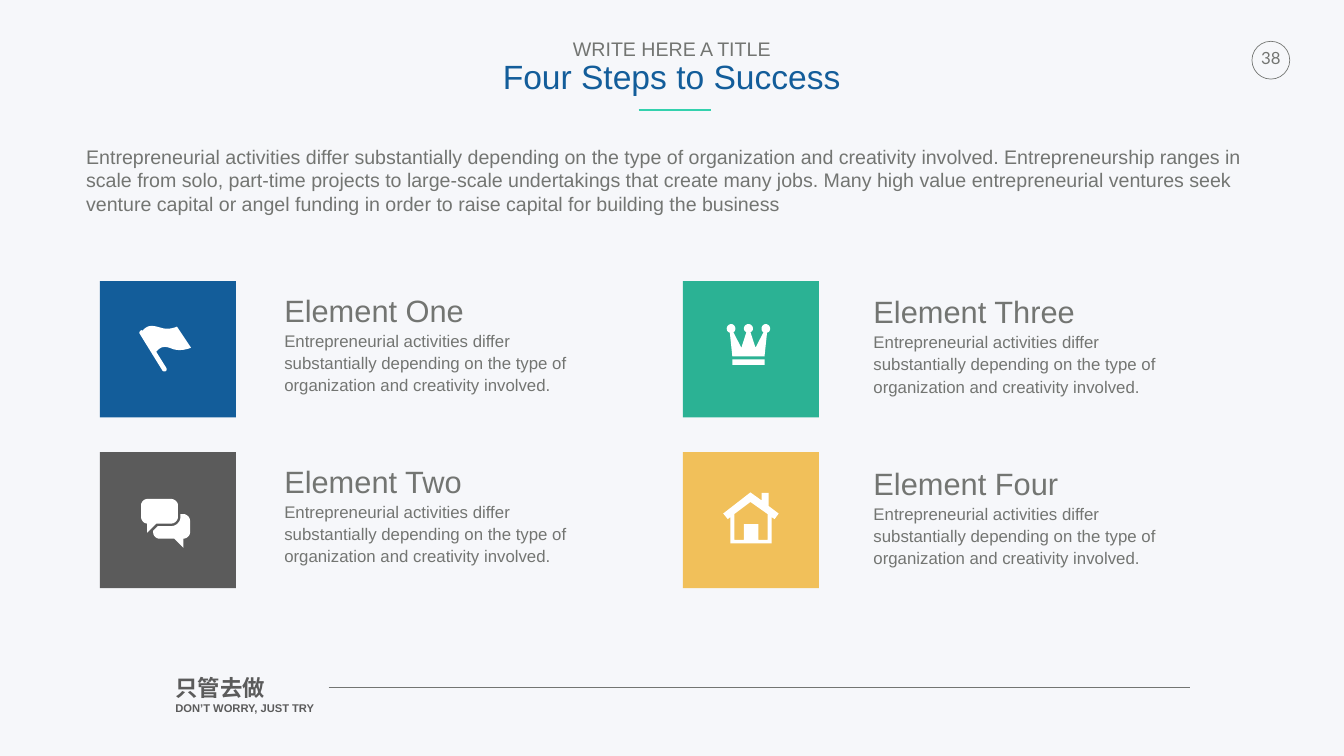
from dataclasses import dataclass

from lxml import etree
from pptx import Presentation
from pptx.dml.color import RGBColor
from pptx.enum import shapes, text
from pptx.oxml import ns
from pptx.util import Pt

GRAY, DARK, BLUE = "737572", "5B5B5B", "135D9A"
GREEN, YELLOW, WHITE = "2BB294", "F1C05A", "FFFFFF"
INTRO = (
    "Entrepreneurial activities differ substantially depending on the type of "
    "organization and creativity involved. Entrepreneurship ranges in scale from solo, "
    "part-time projects to large-scale undertakings that create many jobs. Many high "
    "value entrepreneurial ventures seek venture capital or angel funding in order to "
    "raise capital for building the business"
)
DETAIL = INTRO.split(". ")[0] + "."
TILE = 194.4
Points = list[tuple[float, ...]]


@dataclass
class Line:
    text: str
    size: float
    color: str = GRAY
    bold: bool = False
    font: str = "Arial"


@dataclass
class Step:
    """One tile with its icon; each icon part is a list of closed contours."""
    title: str
    color: str
    column: int
    row: int
    icon: list[list[Points]]


def trace(path: Points) -> Points:
    """Flatten a path: pairs are corners, six numbers are a cubic curve."""
    pts: Points = []
    for item in path:
        if len(item) == 2:
            pts.append(item)
            continue
        x0, y0 = pts[-1]
        x1, y1, x2, y2, x3, y3 = item
        for i in range(1, 9):
            t = i / 8
            a, b, c, d = (1 - t) ** 3, 3 * t * (1 - t) ** 2, 3 * t * t * (1 - t), t ** 3
            pts.append((a * x0 + b * x1 + c * x2 + d * x3,
                        a * y0 + b * y1 + c * y2 + d * y3))
    return pts


def mirror(half: Points) -> Points:
    """Complete an outline that is symmetric about its first point's x."""
    pts = trace(half)
    return pts + [(2 * pts[0][0] - x, y) for x, y in reversed(pts)]


FLAG = [(110.2, 64.8), (110.2, 64.8, 98.6, 70.6, 86.4, 66.2),
        (73.4, 61.9, 67, 63.4, 61.2, 70.6), (59.8, 69.8, 59, 69.8, 58.3, 70.6),
        (56.9, 71.3, 56.2, 73.4, 56.9, 74.9), (89.3, 127.4),
        (90, 128.2, 90.7, 128.9, 92.2, 128.9), (92.9, 128.9, 93.6, 128.9, 94.3, 128.2),
        (95.8, 127.4, 95.8, 125.3, 95, 123.8), (80.6, 100.8),
        (86.4, 93.6, 92.2, 91.4, 105.1, 97.2), (117.4, 100.8, 130.3, 95, 130.3, 95)]
CROWN_BASE = mirror([(93.6, 111.6), (116.6, 111.6), (116.6, 119.5), (93.6, 119.5)])
CROWN = mirror([(93.6, 107.3), (116.6, 107.3), (120.2, 73.4),
                (123.1, 72.7, 124.6, 70.6, 124.6, 67.7),
                (124.6, 64.1, 121.7, 61.2, 118.1, 61.2),
                (115.2, 61.2, 112.3, 64.1, 112.3, 67.7),
                (112.3, 69.8, 113, 72, 115.2, 72.7), (103.7, 95), (96.5, 72.7),
                (98.6, 72, 100.1, 69.8, 100.1, 67.7),
                (100.1, 64.1, 97.2, 61.2, 93.6, 61.2)])
BACK_BUBBLE = [(119.5, 88.6), (115.2, 88.6), (115.2, 92.9),
               (115.2, 100.1, 108.7, 105.8, 102.2, 105.8), (82.8, 105.8), (76.3, 112.3),
               (76.3, 115.2), (76.3, 119.5, 80.6, 123.8, 85, 123.8), (106.6, 123.8),
               (119.5, 136.8), (119.5, 123.8), (123.8, 123.8, 128.9, 119.5, 128.9, 115.2),
               (128.9, 97.9), (128.9, 92.9, 123.8, 88.6, 119.5, 88.6)]
FRONT_BUBBLE = [(80.6, 102.2), (102.2, 102.2), (106.6, 102.2, 111.6, 97.9, 111.6, 92.9),
                (111.6, 75.6), (111.6, 71.3, 106.6, 67, 102.2, 67), (67.7, 67),
                (63.4, 67, 59, 71.3, 59, 75.6), (59, 92.9),
                (59, 97.9, 63.4, 102.2, 67.7, 102.2), (67.7, 115.2)]
HOUSE = [(122.4, 77), (122.4, 58.3), (112.3, 58.3), (112.3, 69.1), (96.5, 57.6),
         (57.6, 87.8), (64.1, 95.8), (67.7, 92.9), (67.7, 130.3), (126.7, 130.3),
         (126.7, 92.9), (131, 95.8), (136.8, 87.8)]
HOUSE_INSIDE = [(121, 125.3), (108, 125.3), (108, 103), (87.1, 103), (87.1, 125.3),
                (73.4, 125.3), (73.4, 88.6), (96.5, 71.3), (121, 88.6)]

STEPS = [
    Step("Element One", BLUE, 0, 0, [[FLAG]]),
    Step("Element Two", DARK, 0, 1, [[BACK_BUBBLE], [FRONT_BUBBLE]]),
    Step("Element Three", GREEN, 1, 0, [[CROWN_BASE], [CROWN]]),
    Step("Element Four", YELLOW, 1, 1, [[HOUSE, HOUSE_INSIDE]]),
]


def rgb(color: str) -> RGBColor:
    return RGBColor.from_string(color)


def paint(sp, color: str) -> None:
    """Give a shape a flat fill with no outline or shadow."""
    sp.shadow.inherit = False
    sp.fill.solid()
    sp.fill.fore_color.rgb = rgb(color)
    sp.line.fill.background()


def add_text(s, x: float, y: float, w: float, h: float, lines: list[Line],
             spacing: float = 1.0, centered: bool = False) -> None:
    tf = s.shapes.add_textbox(Pt(x), Pt(y), Pt(w), Pt(h)).text_frame
    tf.word_wrap = not centered
    tf.auto_size = text.MSO_AUTO_SIZE.SHAPE_TO_FIT_TEXT
    tf.margin_left = tf.margin_right = tf.margin_top = tf.margin_bottom = Pt(3.6)
    tf.text = "\n".join(line.text for line in lines)
    for p, line in zip(tf.paragraphs, lines):
        p.line_spacing = spacing
        p.alignment = text.PP_ALIGN.CENTER if centered else text.PP_ALIGN.LEFT
        font = p.runs[0].font
        font.name, font.size, font.bold = line.font, Pt(line.size), line.bold
        font.color.rgb = rgb(line.color)


def add_rule(s, x1: float, x2: float, y: float, color: str, width: float) -> None:
    rule = s.shapes.add_connector(shapes.MSO_CONNECTOR.STRAIGHT,
                                  Pt(x1), Pt(y), Pt(x2), Pt(y))
    rule.line.color.rgb = rgb(color)
    rule.line.width = Pt(width)
    etree.SubElement(rule._element.spPr, ns.qn("a:effectLst"))


def add_step(s, step: Step) -> None:
    x, y = 142.6 + 833 * step.column, 401.8 + 244 * step.row
    group = s.shapes.add_group_shape().shapes
    paint(group.add_shape(shapes.MSO_SHAPE.RECTANGLE, Pt(x), Pt(y), Pt(TILE), Pt(TILE)),
          step.color)
    for part in step.icon:
        contours = [[(Pt(x + px), Pt(y + py)) for px, py in trace(path)] for path in part]
        builder = group.build_freeform(*contours[0][0])
        builder.add_line_segments(contours[0][1:])
        for contour in contours[1:]:
            builder.move_to(*contour[0])
            builder.add_line_segments(contour[1:])
        paint(builder.convert_to_shape(), WHITE)
    add_text(s, 402.5 + 841.7 * step.column, 407.5 + 244.8 * step.row + 2.2 * step.column,
             422, 158.4, [Line(step.title, 44), Line(DETAIL, 24)], spacing=1.1)


def main() -> None:
    prs = Presentation()
    prs.slide_width, prs.slide_height = Pt(1920), Pt(1080)
    s = prs.slides.add_slide(prs.slide_layouts[6])
    s.background.fill.solid()
    s.background.fill.fore_color.rgb = rgb("F6F7FA")

    ring = s.shapes.add_shape(shapes.MSO_SHAPE.OVAL, Pt(1788.5), Pt(59), Pt(54), Pt(54))
    ring.shadow.inherit = False
    ring.fill.background()
    ring.line.color.rgb = rgb(GRAY)
    ring.line.width = Pt(1)
    add_text(s, 1790.5, 64.8, 50, 43.2, [Line("38", 24, font="Lato")], centered=True)

    add_text(s, 247, 959.8, 287.3, 71.3,
             [Line("只管去做", 32, DARK, True), Line("DON’T WORRY, JUST TRY", 16, DARK, True)])
    add_rule(s, 469.4, 1700.6, 982, GRAY, 0.25)

    add_text(s, 714.2, 53.3, 491, 95.8,
             [Line("WRITE HERE A TITLE", 28), Line("Four Steps to Success", 48, BLUE)],
             spacing=0.9, centered=True)
    add_rule(s, 912.2, 1016, 157, "33D1AD", 3)
    add_text(s, 119.5, 203, 1684, 109.4, [Line(INTRO, 28)])
    for step in STEPS:
        add_step(s, step)
    prs.save("out.pptx")


if __name__ == "__main__":
    main()
